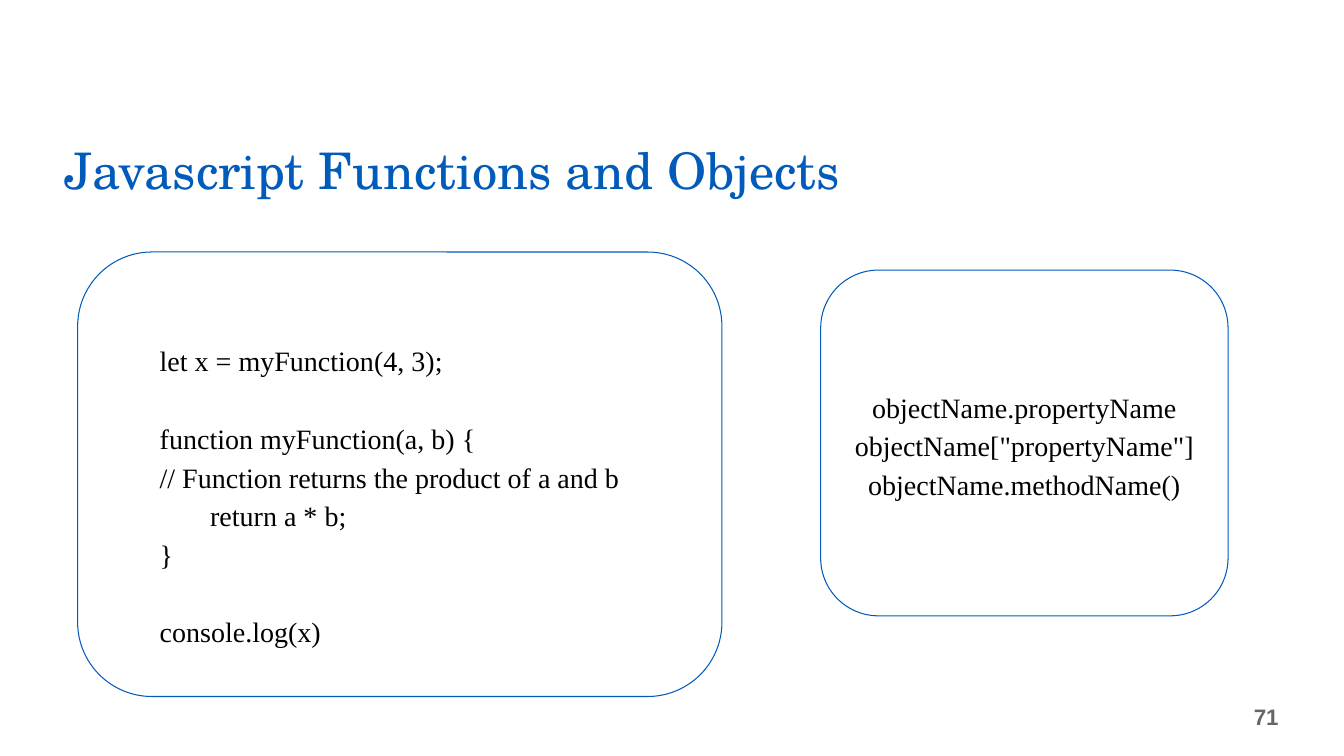
from lxml import etree
from pptx import Presentation
from pptx.dml.color import RGBColor
from pptx.enum.shapes import MSO_SHAPE
from pptx.enum.text import MSO_ANCHOR, MSO_AUTO_SIZE, PP_ALIGN
from pptx.oxml.ns import qn
from pptx.util import Inches, Pt

ROUNDED = MSO_SHAPE.ROUNDED_RECTANGLE
MIDDLE, TOP = MSO_ANCHOR.MIDDLE, MSO_ANCHOR.TOP
LEFT, CENTER, RIGHT = PP_ALIGN.LEFT, PP_ALIGN.CENTER, PP_ALIGN.RIGHT
GROW = MSO_AUTO_SIZE.SHAPE_TO_FIT_TEXT

BLUE, WHITE, BLACK, GRAY = "005BBB", "FFFFFF", "000000", "666666"
SKIPPED_LINE = 27.7  # points taken by one line of code
INDENT = 0.5

# Each line: text, extra first-line indent, skipped lines above it
CODE_LINES = [
    ("let x = myFunction(4, 3);", 0, 0),
    ("function myFunction(a, b) {", 0, 1),
    ("// Function returns the product of a and b", 0, 0),
    ("return a * b;", INDENT, 0),
    ("}", 0, 0),
    ("console.log(x)", 0, 1),
]
OBJECT_LINES = [
    "objectName.propertyName",
    'objectName["propertyName"]',
    "objectName.methodName()",
]


def color(hex_string):
    return RGBColor.from_string(hex_string)


def write_lines(shape, lines, font_name, size, font_color, alignment=LEFT,
                line_spacing=1.0, anchor=MIDDLE, top=0.1, bottom=0.1):
    """Fill a shape with one formatted paragraph per line and return the paragraphs."""
    frame = shape.text_frame
    frame.word_wrap = True
    frame.vertical_anchor = anchor
    frame.margin_left = frame.margin_right = Inches(0.1)
    frame.margin_top, frame.margin_bottom = Inches(top), Inches(bottom)
    frame.text = "\n".join(lines)
    for paragraph in frame.paragraphs:
        paragraph.alignment = alignment
        paragraph.line_spacing = line_spacing
        for run in paragraph.runs:
            run.font.name = font_name
            run.font.size = Pt(size)
            run.font.color.rgb = color(font_color)
    return frame.paragraphs


def add_panel(slide, box):
    panel = slide.shapes.add_shape(ROUNDED, *map(Inches, box))
    panel.adjustments[0] = 0.167
    panel.shadow.inherit = False
    panel.fill.solid()
    panel.fill.fore_color.rgb = color(WHITE)
    panel.line.color.rgb = color(BLUE)
    panel.line.width = Pt(0.75)
    return panel


def add_title(slide, box):
    title = slide.shapes.add_textbox(*map(Inches, box))
    write_lines(title, ["Javascript Functions and Objects"], "TeX Gyre Schola", 36, BLUE,
                line_spacing=0.9, anchor=TOP)
    title.text_frame.auto_size = GROW


def add_function_panel(slide, box):
    panel = add_panel(slide, box)
    paragraphs = write_lines(panel, [text for text, _, _ in CODE_LINES], "Times New Roman", 20,
                             BLACK, line_spacing=1.15, top=0.1 + SKIPPED_LINE / 72)
    for paragraph, (_, first_indent, skipped) in zip(paragraphs, CODE_LINES):
        properties = paragraph._p.get_or_add_pPr()
        properties.set("marL", str(Inches(INDENT)))
        properties.set("indent", str(Inches(first_indent)))
        etree.SubElement(properties, qn("a:buNone"))
        if skipped:
            paragraph.space_before = Pt(skipped * SKIPPED_LINE)


def add_object_panel(slide, box):
    write_lines(add_panel(slide, box), OBJECT_LINES, "Times New Roman", 20, BLACK,
                alignment=CENTER, line_spacing=1.15)


def add_slide_number(slide, box):
    number = slide.shapes.add_textbox(*map(Inches, box))
    paragraphs = write_lines(number, ["71"], "Arial", 16, GRAY, alignment=RIGHT,
                             top=0.05, bottom=0.05)
    paragraphs[0].runs[0].font.bold = True


def main():
    presentation = Presentation()
    presentation.slide_width = Inches(13.33)
    presentation.slide_height = Inches(7.5)
    slide = presentation.slides.add_slide(presentation.slide_layouts[6])
    add_slide_number(slide, (8.28, 6.91, 4.5, 0.4))
    add_function_panel(slide, (0.77, 2.5, 6.39, 4.41))
    add_object_panel(slide, (8.14, 2.68, 4.04, 3.43))
    add_title(slide, (0.54, 1.35, 9.93, 0.75))
    presentation.save("out.pptx")


if __name__ == "__main__":
    main()
